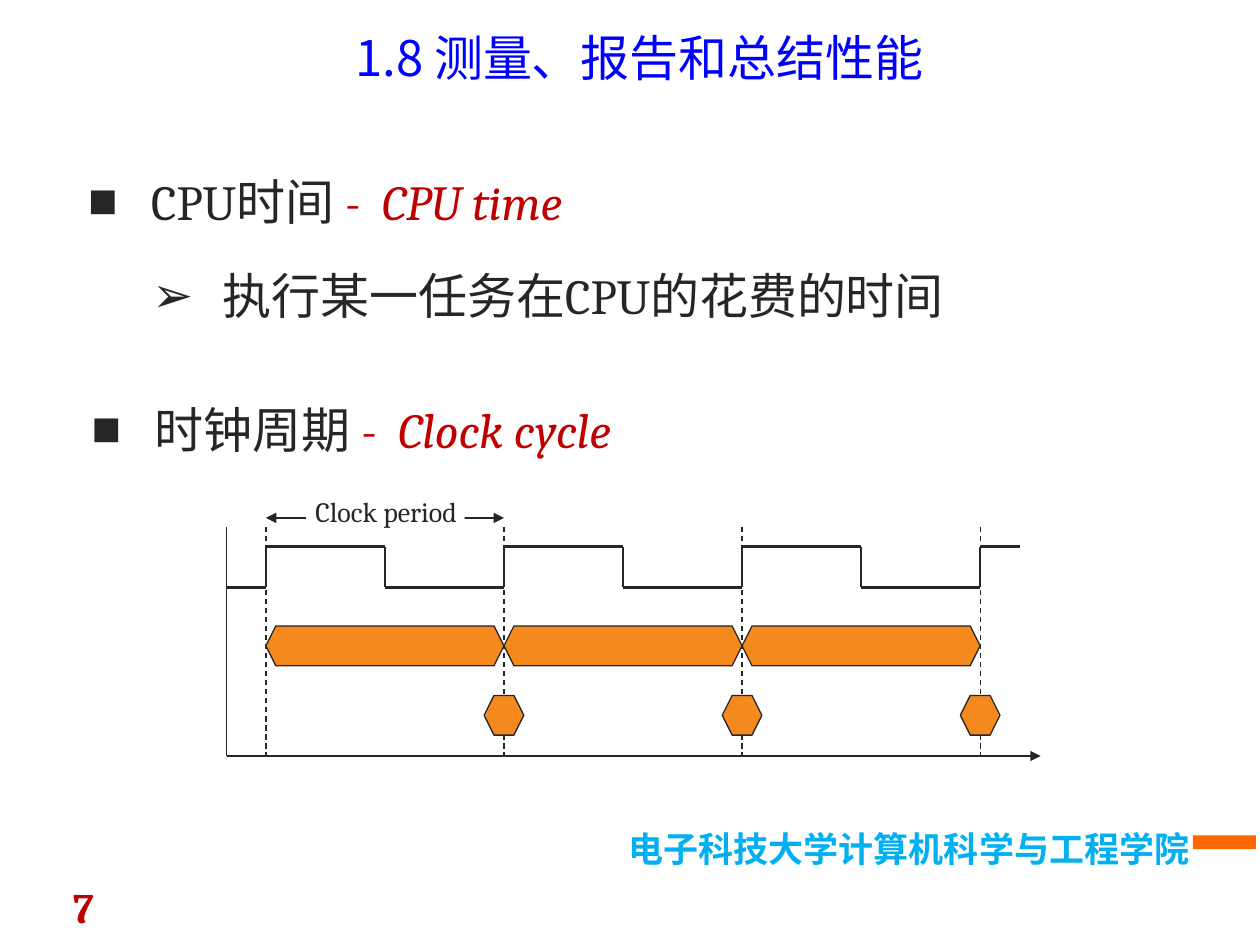
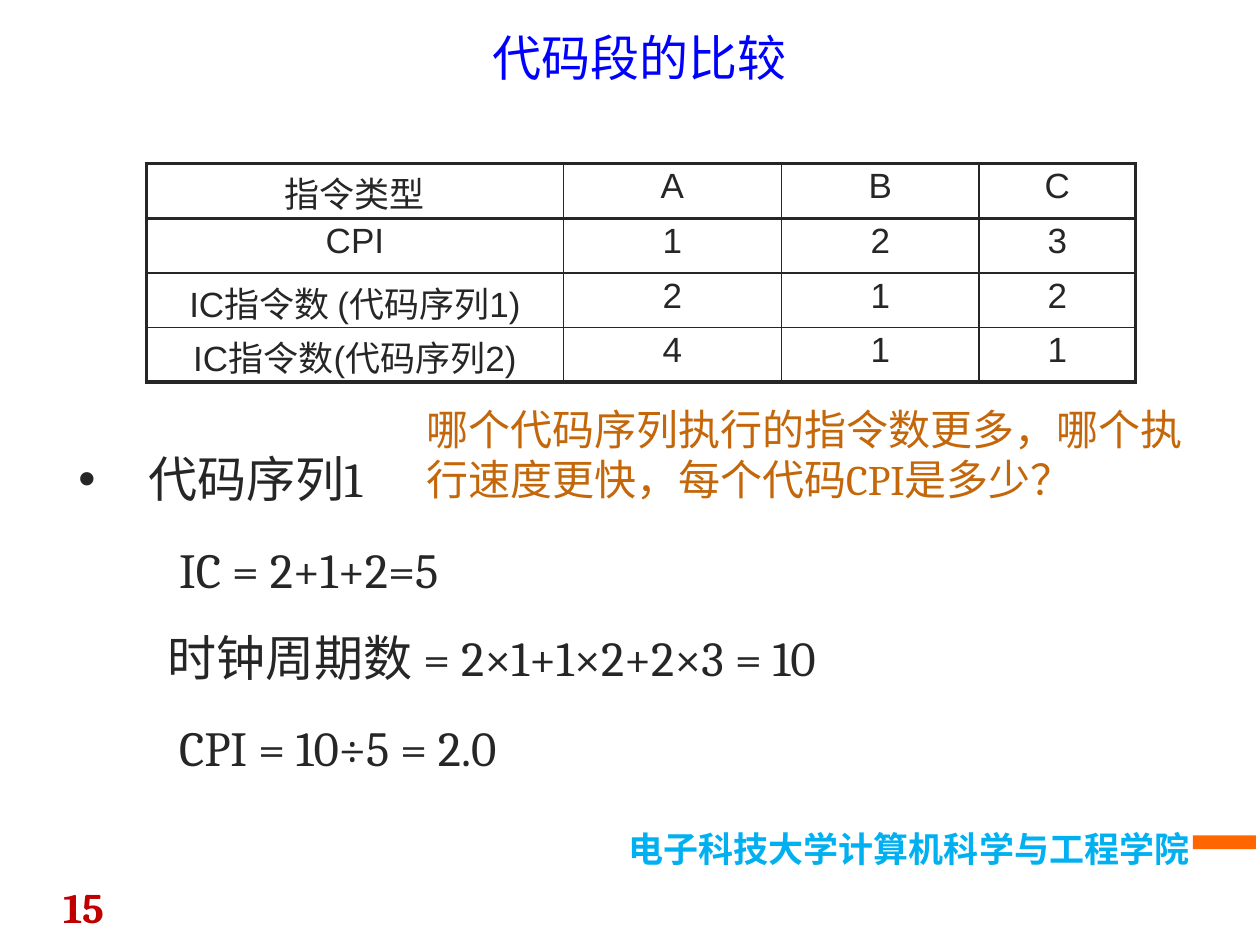
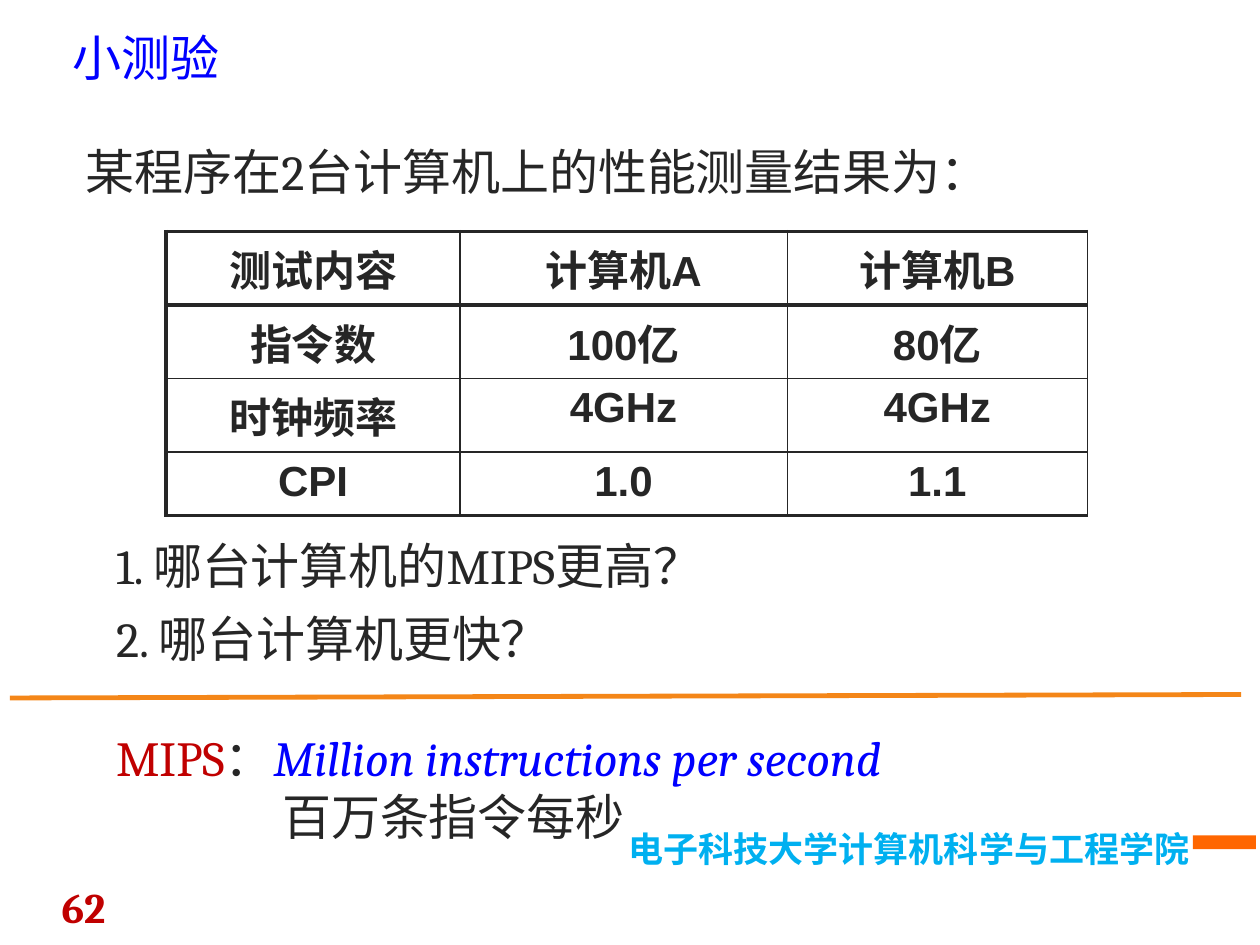
from dataclasses import dataclass
from itertools import pairwise

from lxml import etree
from pptx import Presentation
from pptx.dml.color import RGBColor
from pptx.enum.dml import MSO_LINE
from pptx.enum.shapes import MSO_CONNECTOR, MSO_SHAPE
from pptx.enum.text import MSO_ANCHOR, PP_ALIGN
from pptx.oxml.ns import qn
from pptx.util import Cm, Pt

LEFT, CENTER, RIGHT = PP_ALIGN.LEFT, PP_ALIGN.CENTER, PP_ALIGN.RIGHT
TOP, MIDDLE = MSO_ANCHOR.TOP, MSO_ANCHOR.MIDDLE
DASH = MSO_LINE.DASH
STRAIGHT = MSO_CONNECTOR.STRAIGHT
RECTANGLE = MSO_SHAPE.RECTANGLE


@dataclass(frozen=True)
class Theme:
    ink: str = "262626"
    blue: str = "0000FF"
    red: str = "C00000"
    sky: str = "00B0F0"
    band: str = "FF6600"
    orange: str = "F4891E"
    rule: str = "F48618"
    question: str = "C4670A"
    white: str = "FFFFFF"
    body_font: str = "Cambria"
    table_font: str = "Arial"
    cjk_font: str = "Noto Sans CJK SC"
    body: int = 28
    medium: int = 24
    small: int = 20
    label: int = 16
    thin: float = 0.75
    grid: float = 1
    wave: float = 1.5
    frame: float = 2.25
    divider: float = 2.75


THEME = Theme()
SCHOOL = "电子科技大学计算机科学与工程学院"


# Text
def write_runs(paragraph, runs, size=THEME.body, color=THEME.ink,
               font=THEME.body_font, bold=False, italic=False, align=LEFT):
    """Write a string, or a list of (text, overrides) pairs, into a paragraph."""
    paragraph.alignment = align
    base = dict(size=size, color=color, font=font, bold=bold, italic=italic)
    for words, overrides in [(runs, {})] if isinstance(runs, str) else runs:
        look = base | overrides
        run = paragraph.add_run()
        run.text = words
        run.font.size = Pt(look["size"])
        run.font.bold = look["bold"]
        run.font.italic = look["italic"]
        run.font.color.rgb = RGBColor.from_string(look["color"])
        run.font.name = look["font"]
        east_asian = etree.SubElement(run.font._element, qn("a:ea"))
        east_asian.set("typeface", THEME.cjk_font)


def set_indent(paragraph, indent, bullet=None):
    properties = paragraph._p.get_or_add_pPr()
    properties.set("marL", str(Cm(indent)))
    if bullet:
        properties.set("indent", str(-Cm(indent)))
        etree.SubElement(properties, qn("a:buFont")).set("typeface", THEME.table_font)
        etree.SubElement(properties, qn("a:buChar")).set("char", bullet)


def add_text(slide, text, left, top, width, height=1.47, inset=0.28,
             anchor=TOP, wrap=True, bullet=None, indent=0, **look):
    box = slide.shapes.add_textbox(Cm(left), Cm(top), Cm(width), Cm(height))
    frame = box.text_frame
    frame.word_wrap = wrap
    frame.vertical_anchor = anchor
    frame.margin_left = frame.margin_right = Cm(inset)
    frame.margin_top = frame.margin_bottom = Cm(0.13)
    write_runs(frame.paragraphs[0], text, **look)
    if bullet:
        set_indent(frame.paragraphs[0], indent, bullet)
    return frame


# Lines and shapes
def add_line(slide, start, end, weight=THEME.thin, color=THEME.ink,
             dash=None, head=False, tail=False):
    line = slide.shapes.add_connector(STRAIGHT, *map(Cm, start + end))
    line.line.color.rgb = RGBColor.from_string(color)
    line.line.width = Pt(weight)
    if dash:
        line.line.dash_style = dash
    outline = line.line._get_or_add_ln()
    for tag, wanted in (("a:headEnd", head), ("a:tailEnd", tail)):
        if wanted:
            etree.SubElement(outline, qn(tag)).set("type", "triangle")
    etree.SubElement(line._element.spPr, qn("a:effectLst"))


def add_block(slide, left, top, width, height, color):
    block = slide.shapes.add_shape(RECTANGLE, Cm(left), Cm(top), Cm(width), Cm(height))
    block.shadow.inherit = False
    block.fill.solid()
    block.fill.fore_color.rgb = RGBColor.from_string(color)
    block.line.fill.background()


def add_hexagon(slide, left, top, width, height=0.8, bevel=0.2):
    right, middle, bottom = left + width, top + height / 2, top + height
    corners = [(left + bevel, top), (right - bevel, top), (right, middle),
               (right - bevel, bottom), (left + bevel, bottom)]
    builder = slide.shapes.build_freeform(Cm(left), Cm(middle))
    builder.add_line_segments([(Cm(x), Cm(y)) for x, y in corners], close=True)
    hexagon = builder.convert_to_shape()
    hexagon.shadow.inherit = False
    hexagon.fill.solid()
    hexagon.fill.fore_color.rgb = RGBColor.from_string(THEME.orange)
    hexagon.line.color.rgb = RGBColor.from_string(THEME.ink)
    hexagon.line.width = Pt(THEME.thin)


# Tables
def set_borders(cell, **weights):
    properties = cell._tc.get_or_add_tcPr()
    for side in "LRTB":
        edge = etree.SubElement(properties, qn(f"a:ln{side}"), w=str(Pt(weights[side])))
        fill = etree.SubElement(edge, qn("a:solidFill"))
        etree.SubElement(fill, qn("a:srgbClr")).set("val", THEME.ink)


def add_grid(slide, rows, left, top, widths, heights, right_edge=THEME.frame,
             margins=(0.13, 0.13), **look):
    table = slide.shapes.add_table(len(rows), len(widths), Cm(left), Cm(top),
                                   Cm(sum(widths)), Cm(sum(heights))).table
    table.first_row = table.horz_banding = False
    for column, width in zip(table.columns, widths):
        column.width = Cm(width)
    last_row, last_column = len(rows) - 1, len(widths) - 1
    for r, values in enumerate(rows):
        table.rows[r].height = Cm(heights[r])
        for c, value in enumerate(values):
            cell = table.cell(r, c)
            set_borders(cell,
                        L=THEME.frame if c == 0 else THEME.grid,
                        R=right_edge if c == last_column else THEME.grid,
                        T=THEME.frame if r <= 1 else THEME.grid,
                        B=THEME.frame if r in (0, last_row) else THEME.grid)
            cell.fill.background()
            cell.margin_top, cell.margin_bottom = map(Cm, margins)
            write_runs(cell.text_frame.paragraphs[0], value,
                       font=THEME.table_font, align=CENTER, **look)


# Shared slide parts
def start_slide(deck, title, number, title_align=CENTER):
    slide = deck.slides.add_slide(deck.slide_layouts[6])
    add_text(slide, number, 0.3, 17.65, 2.77, 1.12, inset=0.25,
             size=THEME.medium, color=THEME.red, bold=True, align=CENTER)
    add_block(slide, 24.05, 16.84, 1.27, 0.28, THEME.band)
    add_text(slide, SCHOOL, 2.08, 16.56, 22.15, 1.12, inset=0.25, size=THEME.small,
             color=THEME.sky, font=THEME.cjk_font, bold=True, align=RIGHT)
    add_text(slide, title, 1.22, 0.2, 23.34, 1.9, inset=0.25, anchor=MIDDLE,
             color=THEME.blue, font=THEME.cjk_font, align=title_align)
    return slide


# Clock timing diagram
def draw_clock(slide):
    first_edge, period, cycles = 5.36, 4.8, 3
    high, low = 11.02, 11.84
    axis_left, axis_top, axis_bottom = 4.57, 10.62, 15.24
    edges = [first_edge + period * n for n in range(cycles + 1)]

    add_line(slide, (first_edge, 10.44), (edges[1], 10.44), head=True, tail=True)
    for edge in edges:
        add_line(slide, (edge, axis_top), (edge, axis_bottom), dash=DASH)

    wave = [(axis_left, low)]
    for edge in edges[:-1]:
        fall = edge + period / 2
        wave += [(edge, low), (edge, high), (fall, high), (fall, low)]
    wave += [(edges[-1], low), (edges[-1], high), (20.57, high)]
    for start, end in pairwise(wave):
        add_line(slide, start, end, THEME.wave)

    for begin, end in pairwise(edges):
        add_hexagon(slide, begin, 12.62, period)
        add_hexagon(slide, end - 0.4, 14.02, 0.8)

    add_line(slide, (axis_left, axis_bottom), (20.98, axis_bottom), tail=True)
    add_line(slide, (axis_left, axis_bottom), (axis_left, axis_top))
    add_block(slide, 6.17, 10.24, 3.2, 0.41, THEME.white)
    add_text(slide, "Clock period", 5.97, 9.83, 3.63, 0.94, inset=0.25,
             wrap=False, size=THEME.label, align=CENTER)


# Slides
def build_cpu_time(deck):
    slide = start_slide(deck, "1.8 测量、报告和总结性能", "7")
    english = dict(color=THEME.red, italic=True)
    add_text(slide, [("CPU时间 ", {}), ("-  CPU time", english)],
             1.5, 3.33, 22.56, bullet="■", indent=1.27)
    add_text(slide, "执行某一任务在CPU的花费的时间",
             2.79, 5.23, 17.91, bullet="➢", indent=1.42)
    add_text(slide, [("时钟周期 ", {}), ("-  Clock cycle", english)],
             1.57, 7.92, 22.56, bullet="■", indent=1.27)
    draw_clock(slide)


def build_code_comparison(deck):
    slide = start_slide(deck, "代码段的比较", "15")
    add_text(slide, "代码序列1", 1.3, 8.92, 21.56, bullet="•", indent=1.42)
    add_text(slide, "IC = 2+1+2=5", 3.33, 10.74, 8.69)
    add_text(slide, "时钟周期数 = 2×1+1×2+2×3 = 10", 3.1, 12.52, 16.41)
    add_text(slide, "CPI = 10÷5 = 2.0", 3.33, 14.33, 8.69)
    instruction_counts = [
        ("指令类型", "A", "B", "C"),
        ("CPI", "1", "2", "3"),
        ("IC指令数 (代码序列1)", "2", "1", "2"),
        ("IC指令数(代码序列2)", "4", "1", "1"),
    ]
    add_grid(slide, instruction_counts, 2.95, 3.3, [8.41, 4.39, 3.99, 3.15],
             [1.1] * 4, margins=(0.07, 0), size=THEME.small)
    add_text(slide, "哪个代码序列执行的指令数更多，哪个执行速度更快，每个代码CPI是多少？",
             8.31, 8, 16.41, 2.34, size=THEME.medium, color=THEME.question)


def build_quiz(deck):
    slide = start_slide(deck, "小测验", "62", title_align=LEFT)
    add_text(slide, "某程序在2台计算机上的性能测量结果为：", 1.45, 2.72, 21.82)
    measurements = [
        ("测试内容", "计算机A", "计算机B"),
        ("指令数", "100亿", "80亿"),
        ("时钟频率", "4GHz", "4GHz"),
        ("CPI", "1.0", "1.1"),
    ]
    add_grid(slide, measurements, 3.35, 4.67, [5.92, 6.6, 6.05],
             [1.48, 1.48, 1.48, 1.2], right_edge=THEME.grid,
             size=THEME.medium, bold=True)
    add_text(slide, "1. 哪台计算机的MIPS更高？", 2.06, 10.67, 18.11)
    add_text(slide, "2. 哪台计算机更快？", 2.06, 12.14, 18.11)
    definition = add_text(
        slide,
        [("MIPS", dict(color=THEME.red)), ("：", {}),
         ("Million instructions per second", dict(color=THEME.blue, italic=True))],
        2.06, 14.53, 21.82, 2.67)
    translation = definition.add_paragraph()
    write_runs(translation, "百万条指令每秒")
    set_indent(translation, 3.35)
    add_line(slide, (0.2, 14.07), (25.02, 14), THEME.divider, THEME.rule)


def main():
    deck = Presentation()
    deck.slide_width, deck.slide_height = Cm(25.4), Cm(19.05)
    build_cpu_time(deck)
    build_code_comparison(deck)
    build_quiz(deck)
    deck.save("out.pptx")


if __name__ == "__main__":
    main()
